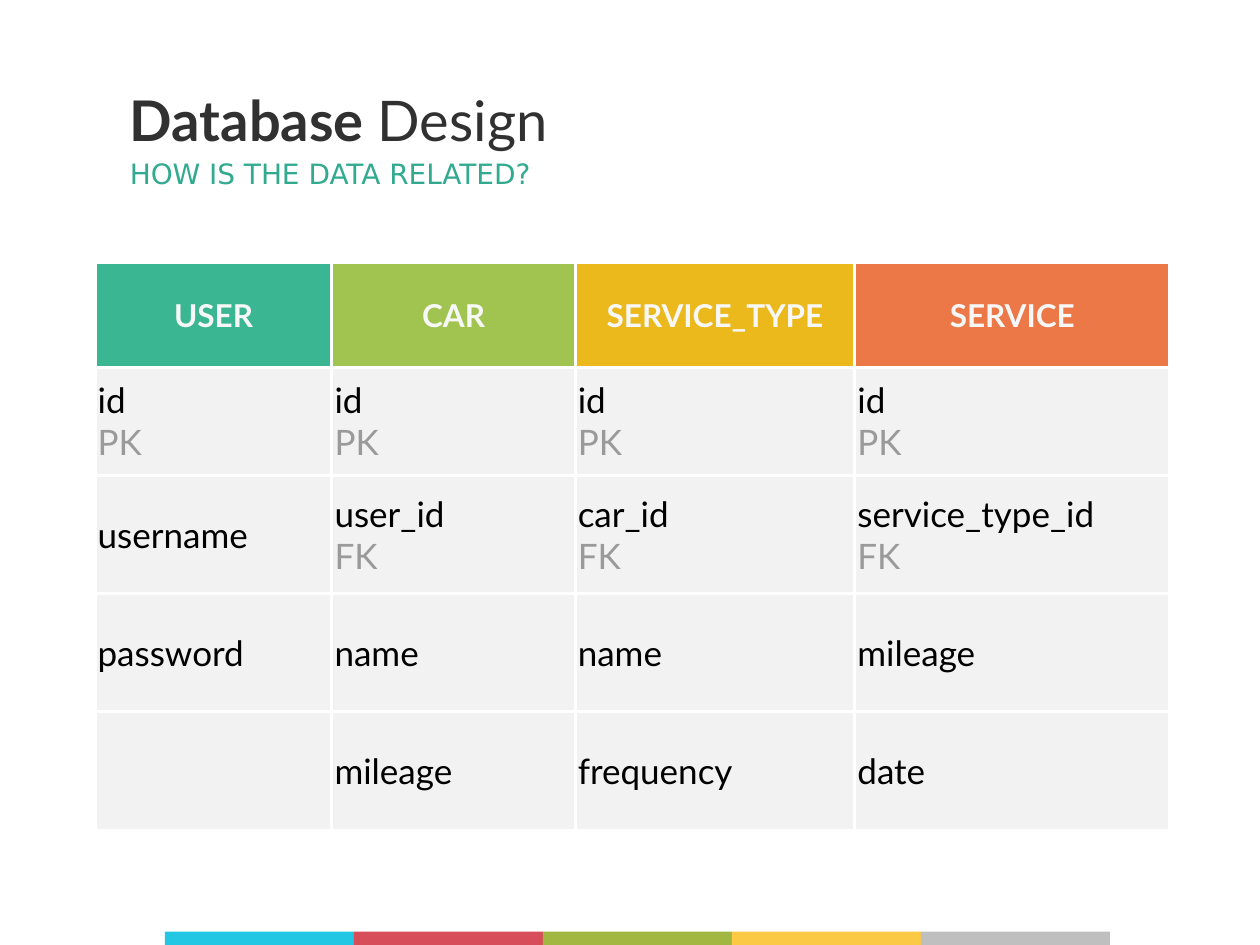
from pptx import Presentation, util as u
from pptx.dml.color import RGBColor
from pptx.enum import shapes, text
from pptx.oxml import parse_xml
from pptx.oxml.ns import nsdecls

Pt = u.Pt
FIELDS = [
    ["id\nPK"] * 4,
    ["username", "user_id\nFK", "car_id\nFK", "service_type_id\nFK"],
    ["password", "name", "name", "mileage"],
    ["", "mileage", "frequency", "date"],
]
HEADS = {"USER": "3BB692", "CAR": "A1C450",
         "SERVICE_TYPE": "EBB91C", "SERVICE": "EC7747"}
STRIPES = ["23C7E3", "D84D5A", "A1B742", "FCC945", "BFBFBF"]


def color(code):
    """Turn a hex string into a colour."""
    return RGBColor.from_string(code)


def assign(obj, vals):
    """Set each attribute named in a dict."""
    for key, val in vals.items():
        setattr(obj, key, val)


class Deck:
    """Holds the style and the current slide."""

    key = "9A9A9A"
    cell = dict(vertical_anchor=text.MSO_ANCHOR.MIDDLE, margin_left=Pt(1.5),
                margin_right=Pt(1.5), margin_top=Pt(2), margin_bottom=Pt(2))
    head = dict(size=18, hue="F7F7F7", bold=True)
    body = dict(size=20, hue="000000")

    def __init__(self, wide, high):
        """Start a deck with one blank slide."""
        self.prs = Presentation()
        assign(self.prs, dict(slide_width=Pt(wide), slide_height=Pt(high)))
        self.slide = self.prs.slides.add_slide(self.prs.slide_layouts[6])

    def run(self, para, words, size, hue, bold=False, name="Lato"):
        """Add a styled run to a paragraph."""
        font = para.add_run()
        font.text = words
        font = font.font
        assign(font, dict(size=Pt(size), bold=bold, name=name))
        font.color.rgb = color(hue)

    def label(self, box, runs, anchor, **form):
        """Add a one-line text box made of styled runs."""
        frame = self.slide.shapes.add_textbox(*map(Pt, box)).text_frame
        assign(frame, dict(margin_left=0, margin_right=0, margin_top=0,
                           margin_bottom=0, word_wrap=True,
                           vertical_anchor=anchor))
        para = frame.paragraphs[0]
        assign(para, form)
        for words, style in runs:
            self.run(para, words, **style)

    def border(self, cell, hue, width):
        """Draw all four edges of a cell."""
        props = cell._tc.get_or_add_tcPr()
        for at, side in enumerate(("lnL", "lnR", "lnT", "lnB")):
            props.insert(at, parse_xml(
                f'<a:{side} {nsdecls("a")} w="{Pt(width)}"><a:solidFill>'
                f'<a:srgbClr val="{hue}"/></a:solidFill></a:{side}>'))

    def fill(self, cell, words, back, style, align):
        """Fill a cell; any second line is a muted key mark."""
        assign(cell, self.cell)
        cell.fill.solid()
        cell.fill.fore_color.rgb = color(back)
        self.border(cell, "FFFFFF", 2)
        frame = cell.text_frame
        for at, line in enumerate(words.split("\n") if words else []):
            para = frame.add_paragraph() if at else frame.paragraphs[0]
            para.alignment = align
            self.run(para, line, **(style | dict(hue=self.key) if at else style))

    def table(self, left, top, cols, rows, heads, fields):
        """Add a table with coloured heads over plain fields."""
        grid = self.slide.shapes.add_table(
            len(rows), len(cols), Pt(left), Pt(top),
            Pt(sum(cols)), Pt(sum(rows))).table
        grid.horz_banding = False
        for col, wide in zip(grid.columns, cols):
            col.width = Pt(wide)
        for row, high in zip(grid.rows, rows):
            row.height = Pt(high)
        for x, (name, back) in enumerate(heads.items()):
            self.fill(grid.cell(0, x), name, back, self.head,
                      text.PP_ALIGN.CENTER)
        for y, line in enumerate(fields, 1):
            for x, words in enumerate(line):
                self.fill(grid.cell(y, x), words, "F2F2F2", self.body,
                          text.PP_ALIGN.LEFT)

    def bar(self, box, hue):
        """Add a plain filled rectangle."""
        shape = self.slide.shapes.add_shape(
            shapes.MSO_SHAPE.RECTANGLE, *map(Pt, box))
        shape.shadow.inherit = False
        shape.fill.solid()
        shape.fill.fore_color.rgb = color(hue)
        shape.line.fill.background()


deck = Deck(720, 540)
deck.label((74.2, 89.3, 528.5, 23.8),
           [("HOW IS THE DATA RELATED?",
             dict(size=16, hue="32AA90", name="DejaVu Sans"))],
           text.MSO_ANCHOR.TOP, alignment=text.PP_ALIGN.JUSTIFY,
           space_before=Pt(6))
title = dict(size=32, hue="313131")
deck.label((74.2, 53.3, 471.6, 29.5),
           [("Database ", title | dict(bold=True)), ("Design", title)],
           text.MSO_ANCHOR.MIDDLE)
deck.table(54.3, 150, [135.4, 139, 159.8, 180],
           [59.8, 61.9, 67.7, 67, 68.4], HEADS, FIELDS)
for at, hue in enumerate(STRIPES):
    deck.bar((94.3 + 108 * at, 532.4, 108, 9.6), hue)
deck.prs.save("out.pptx")
